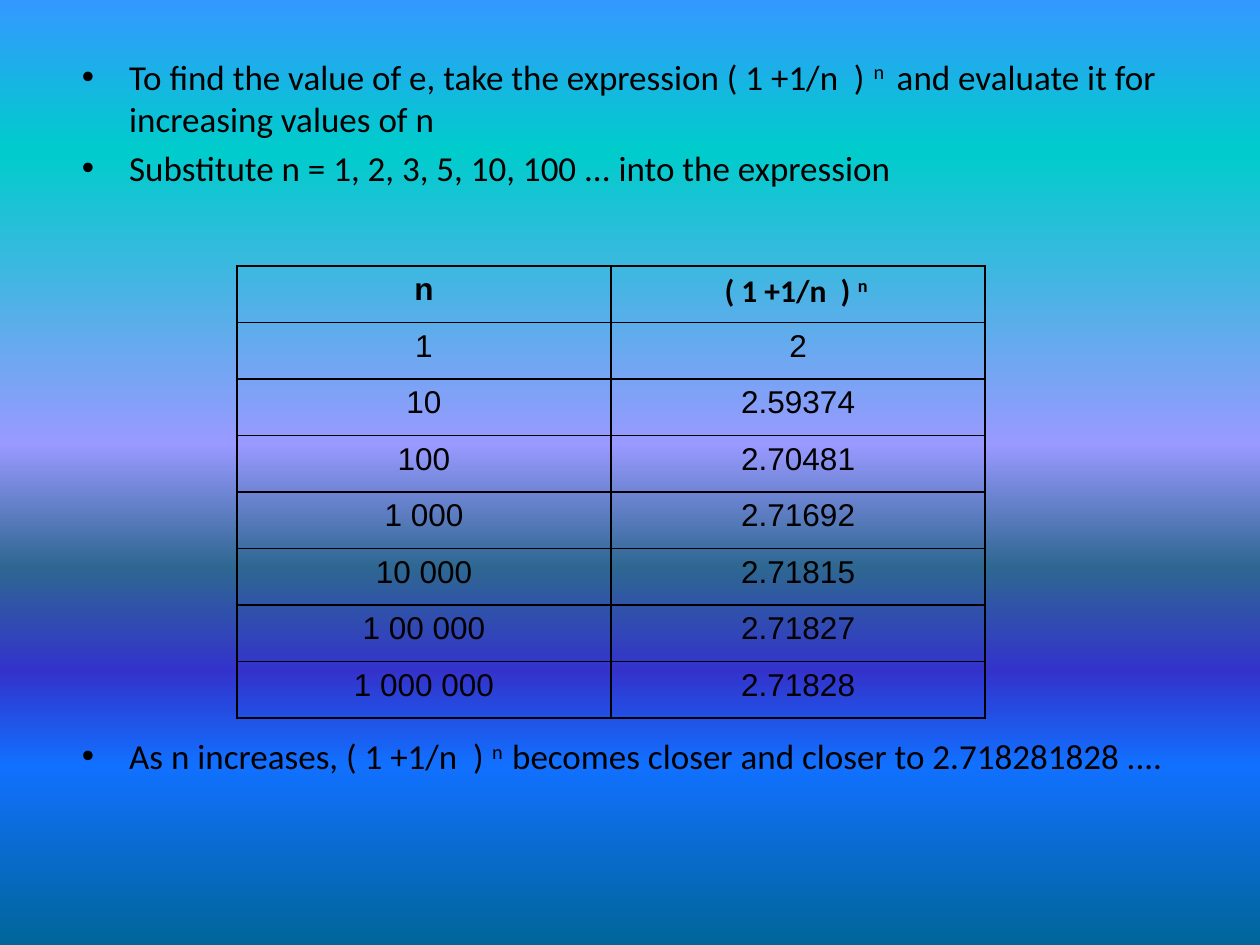
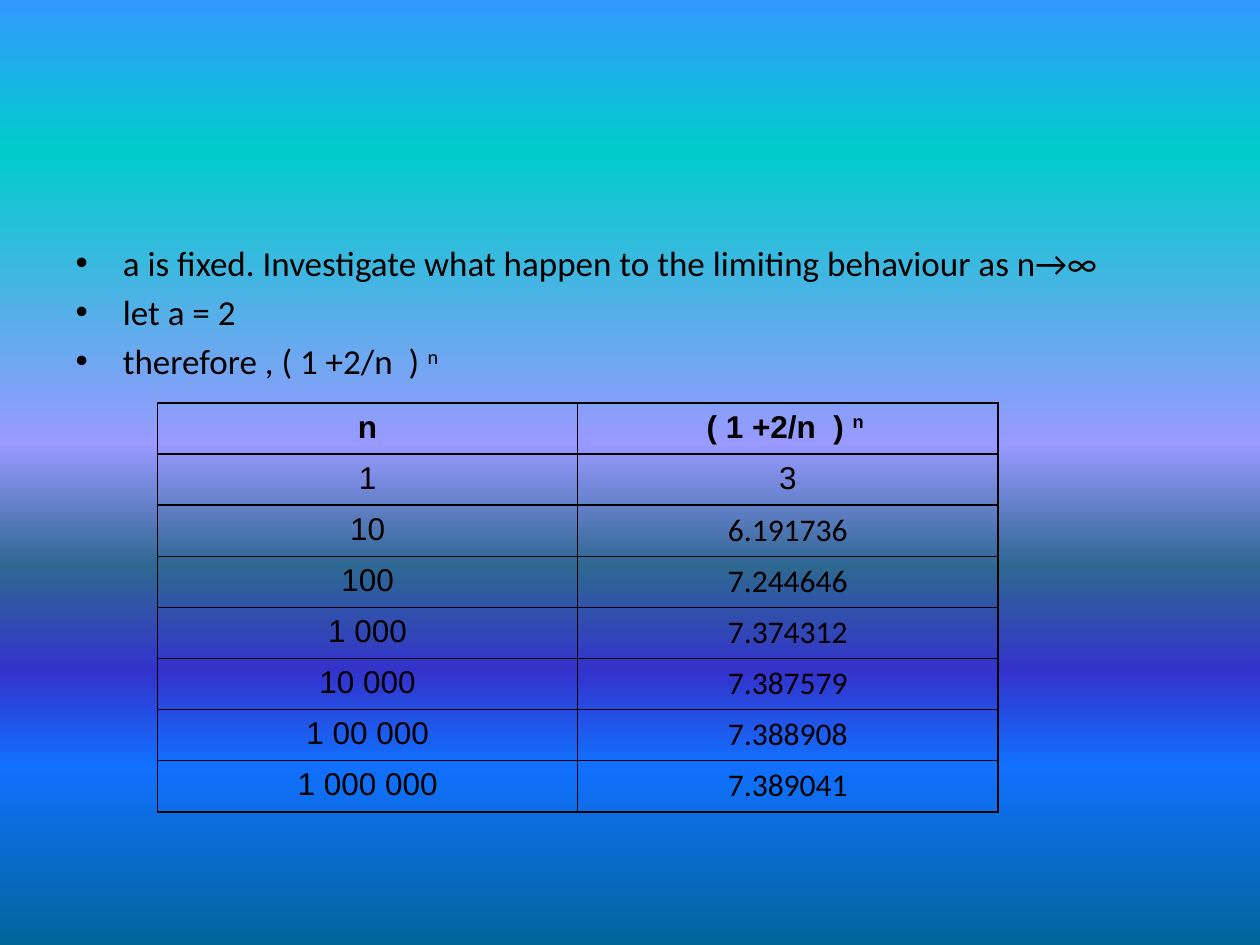
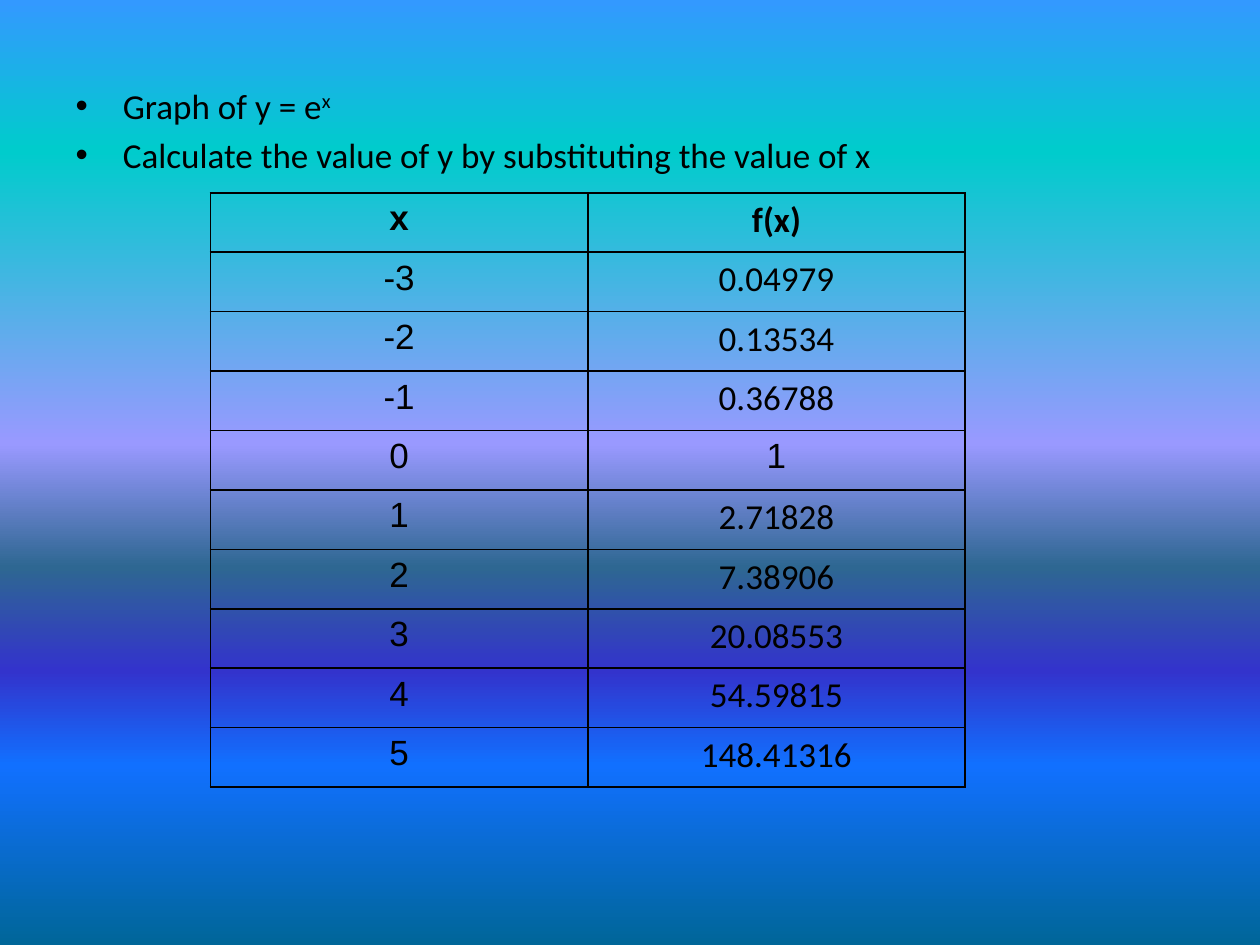
import pptx
import pptx.util
import pptx.dml.color
import pptx.enum.text
import pptx.oxml.ns
import lxml.etree

BLACK = pptx.dml.color.RGBColor(0x00, 0x00, 0x00)
BACKGROUND_STOPS = [
    (0, pptx.dml.color.RGBColor(0x33, 0x99, 0xFF)),
    (16, pptx.dml.color.RGBColor(0x00, 0xCC, 0xCC)),
    (47, pptx.dml.color.RGBColor(0x99, 0x99, 0xFF)),
    (60, pptx.dml.color.RGBColor(0x2E, 0x67, 0x92)),
    (71, pptx.dml.color.RGBColor(0x33, 0x33, 0xCC)),
    (81, pptx.dml.color.RGBColor(0x11, 0x70, 0xFF)),
    (100, pptx.dml.color.RGBColor(0x00, 0x66, 0x99)),
]
BODY_FONT = "Calibri"
TABLE_FONT = "Arial"
BODY_SIZE = 20
qn = pptx.oxml.ns.qn

presentation = pptx.Presentation()
presentation.slide_width = pptx.util.Inches(10)
presentation.slide_height = pptx.util.Inches(7.5)
GRID = presentation.slide_width / 10  # the slide is 10 columns by 7.5 rows


def add_runs(paragraph, text, font_name, size, bold=False):
    """Add text run by run; pieces between ^ marks are superscript."""
    for index, piece in enumerate(text.split("^")):
        if not piece:
            continue
        run = paragraph.add_run()
        run.text = piece
        run.font.name = font_name
        run.font.size = pptx.util.Pt(size)
        run.font.bold = bold
        run.font.color.rgb = BLACK
        if index % 2:
            run.font._element.set("baseline", "30000")


def format_cell(cell):
    """Give a cell thin black borders and no fill."""
    properties = cell._tc.get_or_add_tcPr()
    for side in ("a:lnL", "a:lnR", "a:lnT", "a:lnB"):
        line = lxml.etree.SubElement(properties, qn(side), w=str(pptx.util.Pt(1)))
        fill = lxml.etree.SubElement(line, qn("a:solidFill"))
        lxml.etree.SubElement(fill, qn("a:srgbClr"), val=str(BLACK))
    cell.fill.background()


# Shared background: a top-to-bottom gradient on the master
master = presentation.slide_master
background_fill = master.background.fill
background_fill.gradient()
background_fill.gradient_angle = 270
stop_list = next(master.element.iter(qn("a:gsLst")))
for stop in list(stop_list):
    stop_list.remove(stop)
for position, color in BACKGROUND_STOPS:
    stop = lxml.etree.SubElement(stop_list, qn("a:gs"), pos=str(position * 1000))
    lxml.etree.SubElement(stop, qn("a:srgbClr"), val=str(color))

# Content: boxes are left, top, width, height in grid units
POWERS = ["1", "10", "100", "1 000", "10 000", "1 00 000", "1 000 000"]
slides = [
    {
        "body": (0.55, 0.39, 8.83, 6.72),
        "top_inset": 0.05,
        "bullets": [
            "To find the value of e, take the expression ( 1 +1/n  ) ^n ^"
            " and evaluate it for increasing values of n",
            "Substitute n = 1, 2, 3, 5, 10, 100 ... into the expression ",
            "As n increases, ( 1 +1/n  ) ^n  ^"
            "becomes closer and closer to 2.718281828 ....",
        ],
        "gaps": {2: 312},  # points above the bullet that follows the table
        "table": (1.88, 2.11, 5.94, 3.59),
        "size": 18,
        "header": ("n", "( 1 +1/n  ) ^n ^"),
        "header_font": BODY_FONT,
        "decimal_font": TABLE_FONT,
        "inputs": POWERS,
        "results": ["2", "2.59374", "2.70481", "2.71692", "2.71815",
                    "2.71827", "2.71828"],
    },
    {
        "body": (0.5, 0.7, 9, 6),
        "top_inset": 1.22,
        "bullets": [
            "a is fixed. Investigate what happen to the limiting behaviour as n→∞",
            "let a = 2 ",
            "therefore , ( 1 +2/n  ) ^n ^",
        ],
        "gaps": {},
        "table": (1.25, 3.2, 6.67, 3.24),
        "size": 18,
        "header": ("n", "( 1 +2/n  ) ^n ^"),
        "header_font": TABLE_FONT,
        "decimal_font": BODY_FONT,
        "inputs": POWERS,
        "results": ["3", "6.191736", "7.244646", "7.374312", "7.387579",
                    "7.388908", "7.389041"],
    },
    {
        "body": (0.5, 0.62, 9, 6.07),
        "top_inset": 0.05,
        "bullets": [
            "Graph of y = e^x^",
            "Calculate the value of y by substituting the value of x ",
        ],
        "gaps": {},
        "table": (1.67, 1.53, 5.99, 4.72),
        "size": 20,
        "header": ("x", "f(x)"),
        "header_font": BODY_FONT,
        "decimal_font": BODY_FONT,
        "inputs": [str(x) for x in range(-3, 6)],
        "results": ["0.04979", "0.13534", "0.36788", "1", "2.71828", "7.38906",
                    "20.08553", "54.59815", "148.41316"],
    },
]

for content in slides:
    slide = presentation.slides.add_slide(presentation.slide_layouts[1])
    title = slide.shapes.title.element
    title.getparent().remove(title)

    # Bulleted text
    body = slide.placeholders[1]
    body.left, body.top, body.width, body.height = (
        round(value * GRID) for value in content["body"])
    text_frame = body.text_frame
    text_frame.auto_size = pptx.enum.text.MSO_AUTO_SIZE.NONE
    text_frame.margin_top = round(content["top_inset"] * GRID)
    for index, text in enumerate(content["bullets"]):
        paragraph = text_frame.add_paragraph() if index else text_frame.paragraphs[0]
        if index in content["gaps"]:
            paragraph.space_before = pptx.util.Pt(content["gaps"][index])
        add_runs(paragraph, text, BODY_FONT, BODY_SIZE)

    # Table of values
    rows = [content["header"], *zip(content["inputs"], content["results"])]
    left, top, width, height = (round(value * GRID) for value in content["table"])
    table = slide.shapes.add_table(len(rows), 2, left, top, width, height).table
    table.first_row = False
    table.horz_banding = False
    for row_index, row in enumerate(rows):
        for column_index, text in enumerate(row):
            cell = table.cell(row_index, column_index)
            format_cell(cell)
            font_name = TABLE_FONT
            if column_index == 1 and row_index == 0:
                font_name = content["header_font"]
            elif "." in text:
                font_name = content["decimal_font"]
            paragraph = cell.text_frame.paragraphs[0]
            paragraph.alignment = pptx.enum.text.PP_ALIGN.CENTER
            add_runs(paragraph, text, font_name, content["size"], row_index == 0)

presentation.save("out.pptx")
